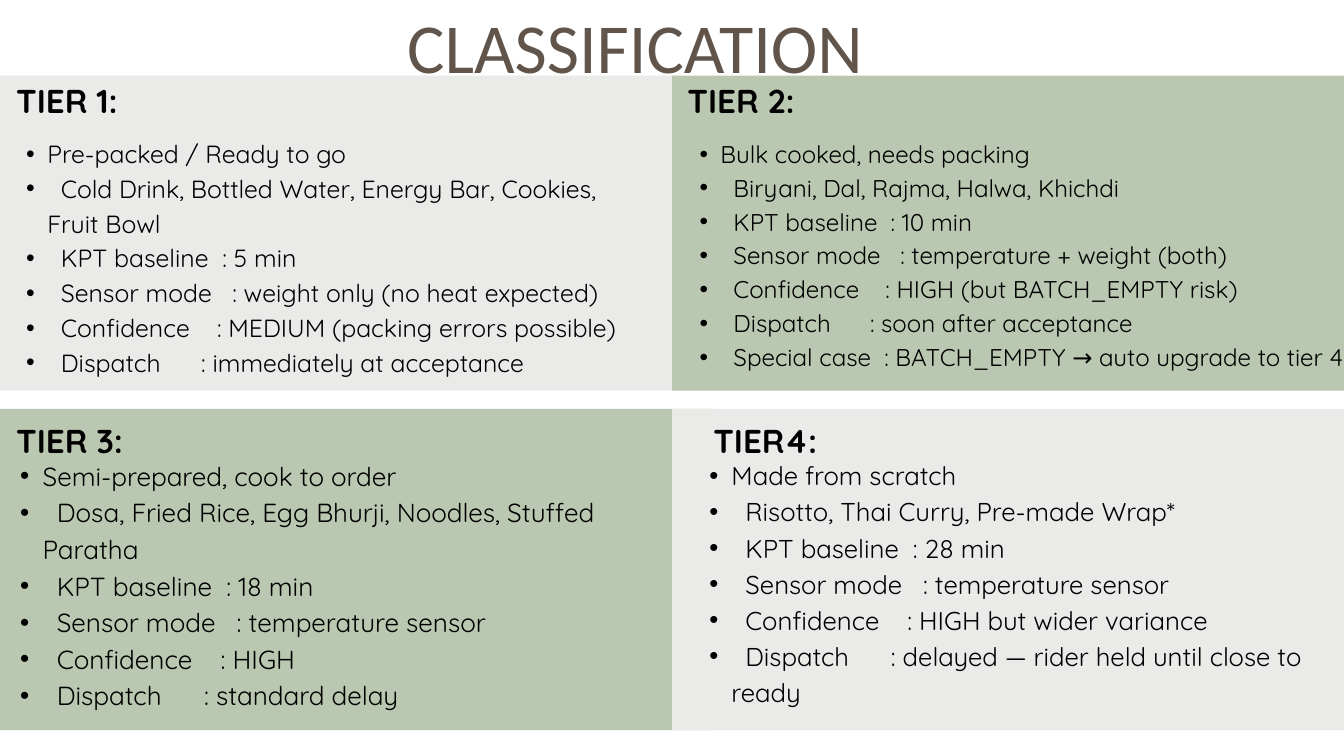
from dataclasses import dataclass

from lxml.etree import SubElement
from pptx import Presentation
from pptx.dml.color import RGBColor
from pptx.enum.shapes import MSO_SHAPE
from pptx.enum.text import MSO_ANCHOR, MSO_AUTO_SIZE, PP_ALIGN
from pptx.oxml.ns import qn
from pptx.util import Emu, Pt

PX = 9525
SLIDE_WIDTH, SLIDE_HEIGHT = 1920, 1080
COMPARISON_LAYOUT = 4
LABEL_COLUMN = 14  # characters from the start of a label to its colon


@dataclass(frozen=True)
class Theme:
    gray: RGBColor = RGBColor(0xEA, 0xEB, 0xE9)
    green: RGBColor = RGBColor(0xBB, 0xC8, 0xB1)
    brown: RGBColor = RGBColor(0x61, 0x55, 0x4B)
    black: RGBColor = RGBColor(0, 0, 0)
    title_font: str = "Calibri"
    body_font: str = "Quicksand"
    title_size: float = 75.2
    heading_size: float = 35.4
    list_sizes: tuple = (26.6, 28, 25.9, 27.6)
    line_height: float = 1.4
    list_indent: float = 1.71
    space_width: float = 0.27


@dataclass(frozen=True)
class Tier:
    heading: str
    summary: str
    dishes: str
    details: dict
    color: RGBColor
    size: float
    panel_box: tuple
    heading_box: tuple
    list_box: tuple


THEME = Theme()
TIERS = (
    Tier("TIER 1:", "Pre-packed / Ready to go",
         "Cold Drink, Bottled Water, Energy Bar, Cookies, Fruit Bowl",
         {"KPT baseline": "5 min",
          "Sensor mode": "weight only (no heat expected)",
          "Confidence": "MEDIUM (packing errors possible)",
          "Dispatch": "immediately at acceptance"},
         THEME.gray, THEME.list_sizes[0],
         (-80, 108, 1050, 450), (23, 106, 560, 71), (7, 191, 894, 349)),
    Tier("TIER 3:", "Semi-prepared, cook to order",
         "Dosa, Fried Rice, Egg Bhurji, Noodles, Stuffed Paratha",
         {"KPT baseline": "18 min",
          "Sensor mode": "temperature sensor",
          "Confidence": "HIGH",
          "Dispatch": "standard delay"},
         THEME.green, THEME.list_sizes[1],
         (-72, 584, 1091, 459), (23, 591, 560, 71), (-3, 650, 897, 366)),
    Tier("TIER 2:", "Bulk cooked, needs packing",
         "Biryani, Dal, Rajma, Halwa, Khichdi",
         {"KPT baseline": "10 min",
          "Sensor mode": "temperature + weight (both)",
          "Confidence": "HIGH (but BATCH_EMPTY risk)",
          "Dispatch": "soon after acceptance",
          "Special case": "BATCH_EMPTY → auto upgrade to tier 4"},
         THEME.green, THEME.list_sizes[2],
         (960, 108, 1032, 450), (982, 106, 560, 71), (970, 192, 950, 338)),
    Tier("TIER4:", "Made from scratch",
         "Risotto, Thai Curry, Pre-made Wrap*",
         {"KPT baseline": "28 min",
          "Sensor mode": "temperature sensor",
          "Confidence": "HIGH but wider variance",
          "Dispatch": "delayed — rider held until close to ready"},
         THEME.gray, THEME.list_sizes[3],
         (960, 584, 1032, 459), (1019, 591, 560, 71), (982, 650, 896, 361)),
)


class SlideBuilder:
    def __init__(self, slide, theme):
        self.slide = slide
        self.theme = theme

    def place(self, shape, box):
        """Move a text shape to its box, in front, with bare margins."""
        self.slide.shapes.element.append(shape.element)
        shape.left, shape.top, shape.width, shape.height = (
            Emu(length * PX) for length in box)
        frame = shape.text_frame
        frame.margin_left = frame.margin_right = 0
        frame.margin_top = frame.margin_bottom = 0
        frame.word_wrap = True
        frame.auto_size = MSO_AUTO_SIZE.NONE
        frame.vertical_anchor = MSO_ANCHOR.TOP
        return frame

    def set_spacing(self, paragraph, size):
        paragraph.line_spacing = Pt(size * self.theme.line_height)
        paragraph.space_before = paragraph.space_after = Pt(0)

    def run(self, paragraph, text, size, font=None, color=None, bold=False):
        run = paragraph.add_run()
        run.text = text
        run.font.name = font or self.theme.body_font
        run.font.size = Pt(size)
        run.font.bold = bold
        run.font.color.rgb = color or self.theme.black
        return run

    def gap(self, paragraph, spaces, size):
        """Add one space, widened by letter spacing to the given count."""
        space = self.run(paragraph, " ", size)
        extra = (spaces - 1) * self.theme.space_width * size
        space.font._element.set("spc", str(round(extra * 100)))

    def bullet(self, paragraph, size):
        properties = paragraph._p.get_or_add_pPr()
        margin = Pt(size * self.theme.list_indent)
        properties.set("marL", str(margin))
        properties.set("indent", str(-margin // 2))
        SubElement(properties, qn("a:buFont")).set("typeface", "Arial")
        SubElement(properties, qn("a:buChar")).set("char", "•")

    def title(self, text, box):
        theme = self.theme
        paragraph = self.place(self.slide.shapes.title, box).paragraphs[0]
        paragraph.alignment = PP_ALIGN.CENTER
        self.set_spacing(paragraph, theme.title_size)
        self.run(paragraph, text, theme.title_size, theme.title_font, theme.brown)

    def panel(self, box, color):
        shape = self.slide.shapes.add_shape(
            MSO_SHAPE.RECTANGLE, *(Emu(length * PX) for length in box))
        shape.shadow.inherit = False
        shape.fill.solid()
        shape.fill.fore_color.rgb = color
        shape.line.fill.background()

    def heading(self, text, box):
        size = self.theme.heading_size
        paragraph = self.place(
            self.slide.shapes.add_textbox(0, 0, 0, 0), box).paragraphs[0]
        self.set_spacing(paragraph, size)
        self.run(paragraph, text, size, bold=True)

    def tier_list(self, placeholder, tier):
        frame = self.place(placeholder, tier.list_box)
        size = tier.size
        rows = [(tier.summary, None), (tier.dishes, None), *tier.details.items()]
        for index, (label, value) in enumerate(rows):
            paragraph = frame.add_paragraph() if index else frame.paragraphs[0]
            self.bullet(paragraph, size)
            self.set_spacing(paragraph, size)
            if index:
                self.gap(paragraph, 2, size)
            self.run(paragraph, label, size)
            if value:
                self.gap(paragraph, LABEL_COLUMN - len(label), size)
                self.run(paragraph, f": {value}", size)


def main():
    presentation = Presentation()
    presentation.slide_width = Emu(SLIDE_WIDTH * PX)
    presentation.slide_height = Emu(SLIDE_HEIGHT * PX)
    slide = presentation.slides.add_slide(
        presentation.slide_layouts[COMPARISON_LAYOUT])
    builder = SlideBuilder(slide, THEME)
    bodies = list(slide.placeholders)[1:]

    for tier in TIERS:
        builder.panel(tier.panel_box, tier.color)
    builder.title("CLASSIFICATION", (200, -16, 1415, 136))
    for tier, body in zip(TIERS, bodies):
        builder.heading(tier.heading, tier.heading_box)
        builder.tier_list(body, tier)

    presentation.save("out.pptx")


if __name__ == "__main__":
    main()
